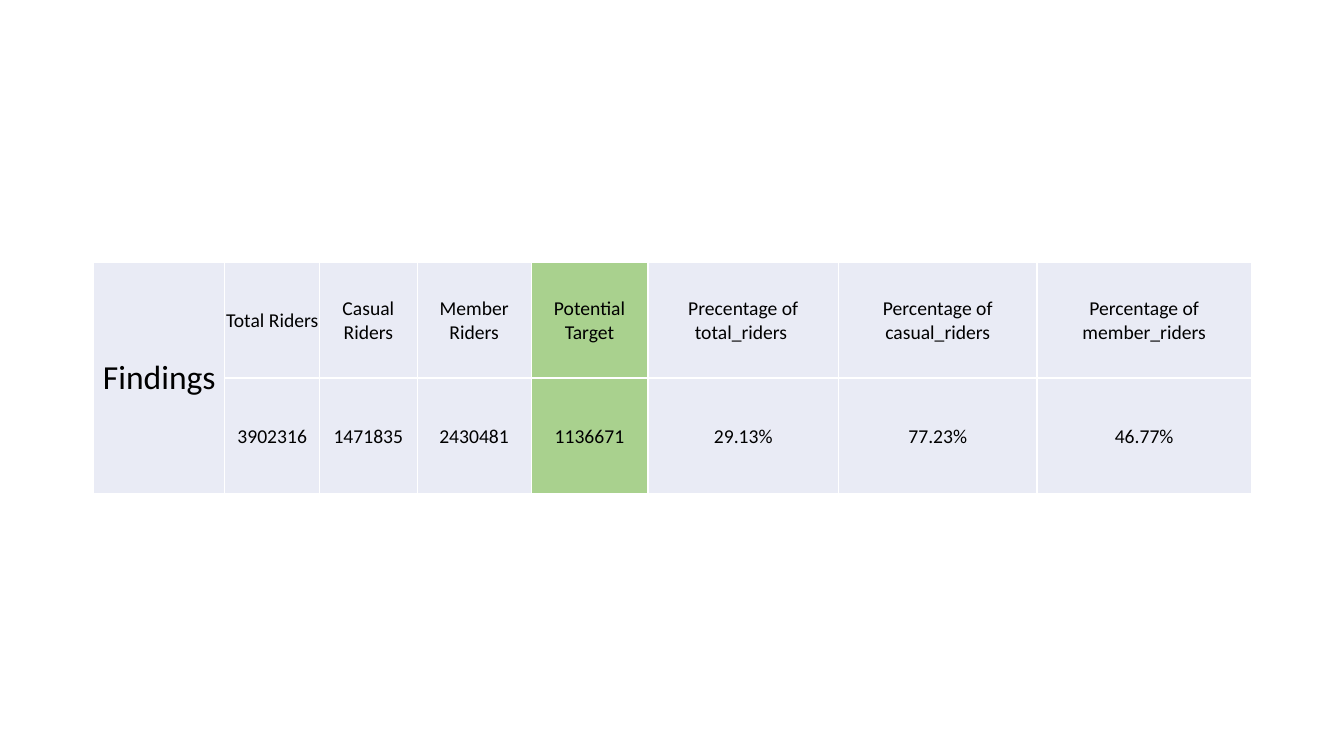
from lxml.etree import SubElement
from pptx import Presentation
from pptx.dml.color import RGBColor
from pptx.enum.text import MSO_ANCHOR as Anchor, PP_ALIGN as Align
from pptx.oxml.ns import qn
from pptx.util import Pt

PALE, GREEN, WHITE, BLACK = "E9EBF5", "A9D18E", "FFFFFF", "000000"
WIDTHS = [93.6, 67.7, 69.7, 81.4, 83.5, 136.2, 141.7, 153.2]
ROW_HEIGHT = 82.8
TARGET_COLUMN = 4
FINDINGS = [
    ["Findings", "Total Riders", "Casual Riders", "Member Riders", "Potential Target",
     "Precentage of total_riders ", "Percentage of casual_riders", "Percentage of member_riders"],
    ["", "3902316", "1471835", "2430481", "1136671", "29.13%", "77.23%", "46.77%"],
]
CELL_FORMAT = {
    "vertical_anchor": Anchor.MIDDLE,
    "margin_left": Pt(0.75),
    "margin_right": Pt(0.75),
    "margin_top": Pt(0.75),
    "margin_bottom": Pt(0),
}


def set_values(target, values):
    for name, value in values.items():
        setattr(target, name, value)


def paint(color_format, color):
    color_format.rgb = RGBColor.from_string(color)


def add_borders(cell, color, width):
    properties = cell._tc.get_or_add_tcPr()
    for side in ("a:lnL", "a:lnR", "a:lnT", "a:lnB"):
        line = SubElement(properties, qn(side), w=str(Pt(width)))
        fill = SubElement(line, qn("a:solidFill"))
        SubElement(fill, qn("a:srgbClr"), val=color)


def format_cell(cell, color):
    set_values(cell, CELL_FORMAT)
    add_borders(cell, WHITE, 1)
    cell.fill.solid()
    paint(cell.fill.fore_color, color)


def write_cell(cell, text, size):
    para = cell.text_frame.paragraphs[0]
    para.alignment = Align.CENTER
    span = para.add_run()
    span.text = text
    set_values(span.font, {"name": "Calibri", "size": Pt(size), "bold": False})
    paint(span.font.color, BLACK)


def add_findings_table(page, left, top):
    frame = page.shapes.add_table(len(FINDINGS), len(WIDTHS), Pt(left), Pt(top),
                                  Pt(sum(WIDTHS)), Pt(ROW_HEIGHT * len(FINDINGS)))
    table = frame.table
    set_values(table, {"first_row": False, "horz_banding": False})
    for column, width in zip(table.columns, WIDTHS):
        column.width = Pt(width)
    for row, texts in zip(table.rows, FINDINGS):
        row.height = Pt(ROW_HEIGHT)
        for index, (cell, text) in enumerate(zip(row.cells, texts)):
            format_cell(cell, GREEN if index == TARGET_COLUMN else PALE)
            if text:
                write_cell(cell, text, 14 if index else 24)
    table.cell(0, 0).merge(table.cell(len(FINDINGS) - 1, 0))


def main():
    deck = Presentation()
    set_values(deck, {"slide_width": Pt(960), "slide_height": Pt(540)})
    page = deck.slides.add_slide(deck.slide_layouts[6])
    add_findings_table(page, 67, 187.2)
    deck.save("out.pptx")


main()
